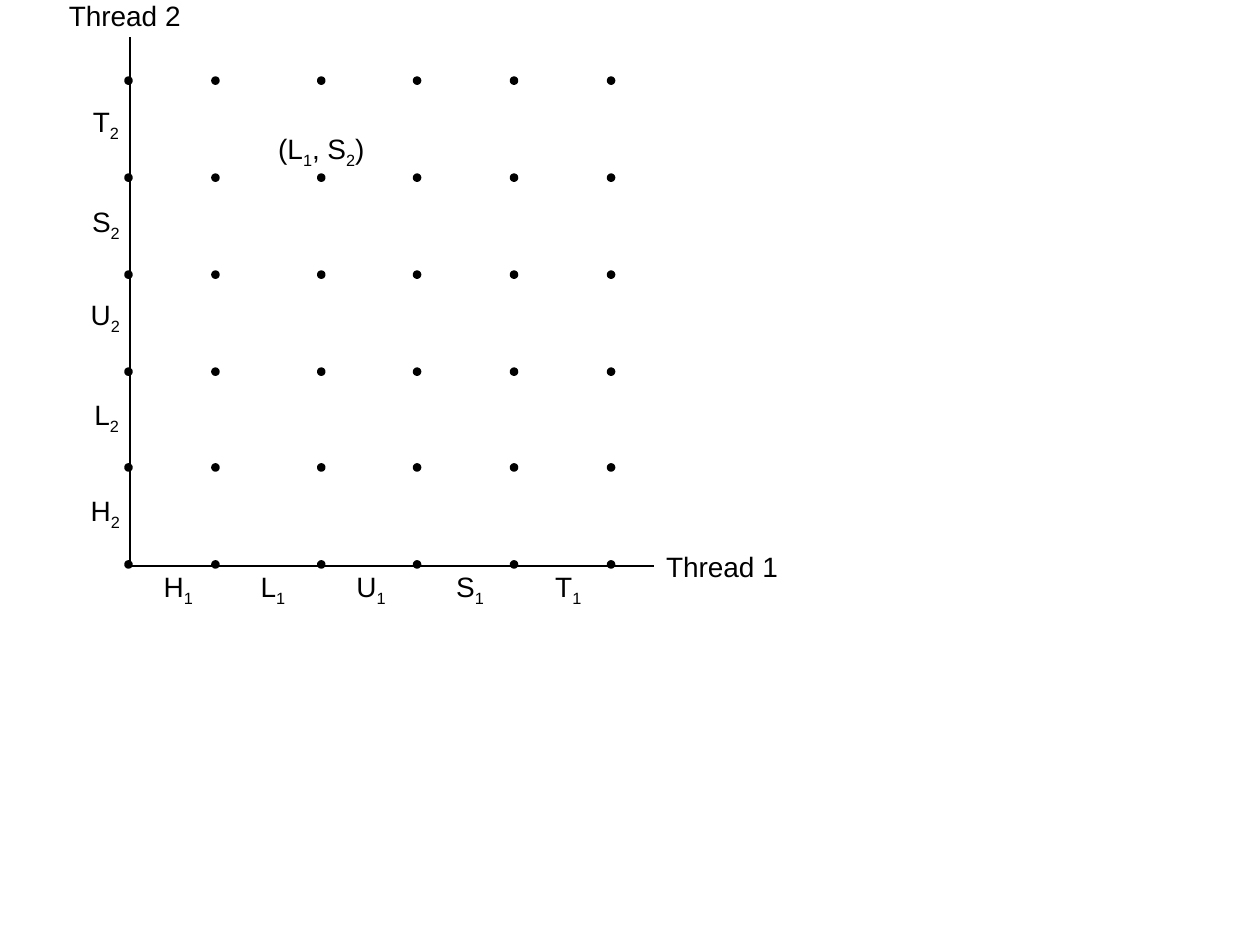
"""Builds a progress graph slide for two threads; every second run of a label is a subscript."""
from itertools import product

from lxml import etree
from pptx import Presentation
from pptx.dml.color import RGBColor
from pptx.enum.shapes import MSO_CONNECTOR as CONN, MSO_SHAPE as SHAPE
from pptx.enum.text import MSO_ANCHOR as ANCHOR, MSO_AUTO_SIZE as FIT, PP_ALIGN as ALIGN
from pptx.oxml.ns import qn
from pptx.util import Inches, Pt


def color(value):
    return RGBColor.from_string(value)


class Graph:
    font, size, ink, dot_size, margin = "Arial", 16, "000000", 0.04, 0.08

    def __init__(self, slide):
        self.s = slide

    def axis(self, x1, y1, x2, y2):
        c = self.s.shapes.add_connector(
            CONN.STRAIGHT, Inches(x1), Inches(y1), Inches(x2), Inches(y2))
        c.line.color.rgb = color(self.ink)
        c.line.width = Pt(1)
        etree.SubElement(c._element.spPr, qn("a:effectLst"))

    def dot(self, x, y):
        d = Inches(self.dot_size)
        sp = self.s.shapes.add_shape(SHAPE.OVAL, Inches(x), Inches(y), d, d)
        sp.shadow.inherit = False
        sp.fill.solid()
        sp.fill.fore_color.rgb = color(self.ink)
        sp.line.color.rgb = color(self.ink)
        sp.line.width = Pt(2)

    def label(self, x, y, w, h, *texts):
        box = self.s.shapes.add_textbox(Inches(x), Inches(y), Inches(w), Inches(h))
        tf = box.text_frame
        tf.word_wrap = False
        tf.auto_size = FIT.SHAPE_TO_FIT_TEXT
        tf.vertical_anchor = ANCHOR.MIDDLE
        tf.margin_left = tf.margin_right = Inches(self.margin)
        p = tf.paragraphs[0]
        p.alignment = ALIGN.CENTER
        for i, text in enumerate(texts):
            r = p.add_run()
            r.text = text
            r.font.name = self.font
            r.font.size = Pt(self.size)
            r.font.color.rgb = color(self.ink)
            if i % 2:
                r._r.get_or_add_rPr().set("baseline", "-25000")


def main():
    prs = Presentation()
    prs.slide_width, prs.slide_height = Inches(10), Inches(7.5)
    g = Graph(prs.slides.add_slide(prs.slide_layouts[6]))

    g.axis(1.03, 4.49, 5.19, 4.49)
    g.axis(1.03, 4.49, 1.03, 0.29)

    steps = [
        ("H", 0.43, 1.2, 0.62, 3.86),
        ("L", 0.39, 1.97, 0.65, 3.1),
        ("U", 0.43, 2.73, 0.62, 2.31),
        ("S", 0.42, 3.52, 0.63, 1.57),
        ("T", 0.4, 4.31, 0.64, 0.78),
    ]
    for name, w, x1, x2, y2 in steps:
        g.label(x1, 4.47, w, 0.41, name, "1")
        g.label(x2, y2, w, 0.41, name, "2")

    columns = [1, 1.69, 2.53, 3.29, 4.06, 4.83]
    rows = [4.46, 3.69, 2.93, 2.16, 1.39, 0.62]
    for x, y in product(columns, rows):
        g.dot(x, y)

    g.label(5.19, 4.31, 1.08, 0.37, "Thread 1")
    g.label(0.45, -0.06, 1.08, 0.37, "Thread 2")
    g.label(2.11, 0.99, 0.88, 0.41, "(L", "1", ", S", "2", ")")
    prs.save("out.pptx")


if __name__ == "__main__":
    main()
